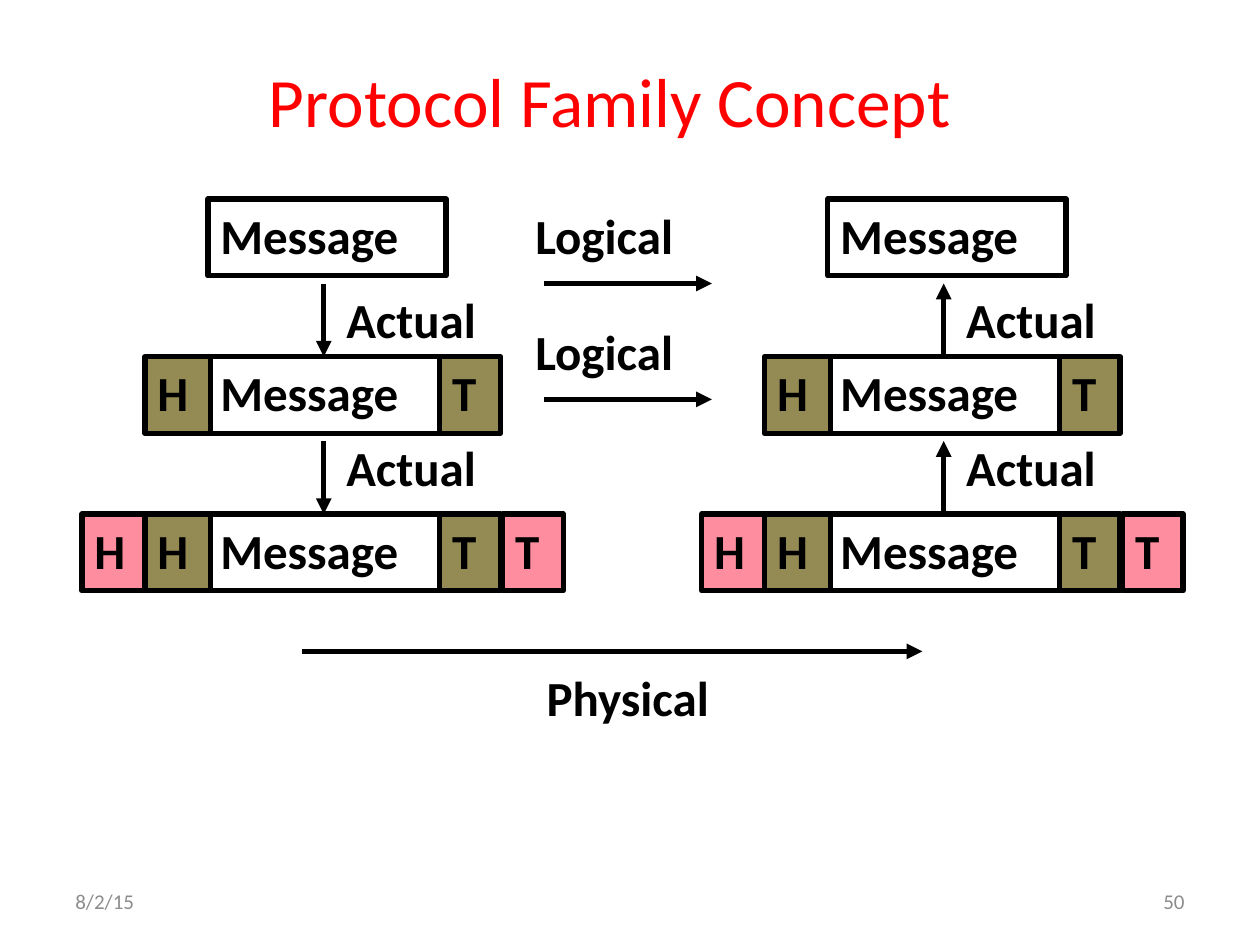
from typing import NamedTuple

from lxml import etree
from pptx import Presentation
from pptx.dml.color import RGBColor
from pptx.enum.shapes import MSO_CONNECTOR, MSO_SHAPE
from pptx.enum.text import MSO_ANCHOR, MSO_AUTO_SIZE, PP_ALIGN
from pptx.oxml.ns import qn
from pptx.util import Emu, Pt

RECTANGLE = MSO_SHAPE.RECTANGLE
STRAIGHT = MSO_CONNECTOR.STRAIGHT
TOP, MIDDLE = MSO_ANCHOR.TOP, MSO_ANCHOR.MIDDLE
LEFT, CENTER, RIGHT = PP_ALIGN.LEFT, PP_ALIGN.CENTER, PP_ALIGN.RIGHT
NO_AUTOSIZE = MSO_AUTO_SIZE.NONE

BLACK = RGBColor(0x00, 0x00, 0x00)
RED = RGBColor(0xFF, 0x00, 0x00)
PINK = RGBColor(0xFF, 0x8D, 0xA0)
OLIVE = RGBColor(0x94, 0x8A, 0x54)
GREY = RGBColor(0x8C, 0x8C, 0x8C)

FONT = "Calibri"
EMU_PER_PX = 9144  # 100 px to the inch
LINE_WIDTH = Pt(3)
CELL_HEIGHT = 61
LABEL_HEIGHT = 57
ROW_TOPS = (158, 283, 408)
SENDER_LEFT, RECEIVER_LEFT = 165, 657


class Cell(NamedTuple):
    """One field of a packet, placed relative to its message field."""
    text: str
    offset: int
    width: int
    fill: RGBColor | None


class Label(NamedTuple):
    text: str
    left: int
    top: int
    width: int


class Arrow(NamedTuple):
    start_x: int
    start_y: int
    end_x: int
    end_y: int


MESSAGE = (Cell("Message", 0, 189, None),)
INNER = (Cell("T", 184, 48, OLIVE), Cell("H", -50, 52, OLIVE))
OUTER = (Cell("T", 234, 48, PINK), Cell("H", -100, 52, PINK))
PACKETS = (MESSAGE, MESSAGE + INNER, OUTER + MESSAGE + INNER)


def px(value: int) -> Emu:
    return Emu(value * EMU_PER_PX)


def write(box, text: str, size: float, color: RGBColor, bold: bool = False,
          align=LEFT, anchor=TOP) -> None:
    frame = box.text_frame
    frame.word_wrap = True
    frame.auto_size = NO_AUTOSIZE
    frame.vertical_anchor = anchor
    para = frame.paragraphs[0]
    para.alignment = align
    span = para.add_run()
    span.text = text
    span.font.name = FONT
    span.font.size = Pt(size)
    span.font.bold = bold
    span.font.color.rgb = color


def draw_cell(page, cell: Cell, message_left: int, top: int) -> None:
    box = page.shapes.add_shape(RECTANGLE, px(message_left + cell.offset), px(top),
                                px(cell.width), px(CELL_HEIGHT))
    box.shadow.inherit = False
    if cell.fill is None:
        box.fill.background()
    else:
        box.fill.solid()
        box.fill.fore_color.rgb = cell.fill
    box.line.color.rgb = BLACK
    box.line.width = LINE_WIDTH
    write(box, cell.text, 28, BLACK, bold=True)


def draw_label(page, label: Label) -> None:
    box = page.shapes.add_textbox(px(label.left), px(label.top),
                                  px(label.width), px(LABEL_HEIGHT))
    write(box, label.text, 28, BLACK, bold=True)


def draw_arrow(page, arrow: Arrow) -> None:
    connector = page.shapes.add_connector(STRAIGHT, *(px(value) for value in arrow))
    connector.line.color.rgb = BLACK
    connector.line.width = LINE_WIDTH
    outline = connector.line._get_or_add_ln()
    etree.SubElement(outline, qn("a:tailEnd"), type="triangle")
    etree.SubElement(connector._element.spPr, qn("a:effectLst"))


def draw_footer(page, text: str, left: int, align) -> None:
    box = page.shapes.add_textbox(px(left), px(695), px(233), px(40))
    write(box, text, 12, GREY, align=align, anchor=MIDDLE)


def main() -> None:
    deck = Presentation()
    deck.slide_width, deck.slide_height = px(1000), px(750)
    page = deck.slides.add_slide(deck.slide_layouts[5])

    # Title
    title = page.shapes.title
    title.left, title.top, title.width, title.height = px(83), px(53), px(802), px(52)
    write(title, "Protocol Family Concept", 39.6, RED, align=CENTER, anchor=MIDDLE)

    # Packets of the sender and the receiver, growing layer by layer
    for message_left in (SENDER_LEFT, RECEIVER_LEFT):
        for top, packet in zip(ROW_TOPS, PACKETS):
            for cell in packet:
                draw_cell(page, cell, message_left, top)

    # Actual path: down through the sender, up through the receiver
    for upper_top, lower_top, label_top in zip(ROW_TOPS, ROW_TOPS[1:], (225, 342)):
        gap_top = upper_top + 67
        sender_x, receiver_x = SENDER_LEFT + 92, RECEIVER_LEFT + 92
        draw_arrow(page, Arrow(sender_x, gap_top, sender_x, lower_top))
        draw_arrow(page, Arrow(receiver_x, lower_top, receiver_x, gap_top))
        for message_left in (SENDER_LEFT, RECEIVER_LEFT):
            draw_label(page, Label("Actual", message_left + 100, label_top, 139))

    # Logical links between peers
    for label_top, arrow_y in ((158, 225), (250, 317)):
        draw_label(page, Label("Logical", 415, label_top, 156))
        draw_arrow(page, Arrow(432, arrow_y, 565, arrow_y))

    # Physical link
    draw_arrow(page, Arrow(240, 517, 732, 517))
    draw_label(page, Label("Physical", 424, 525, 178))

    # Date and page number
    draw_footer(page, "8/2/15", 50, LEFT)
    draw_footer(page, "50", 717, RIGHT)

    deck.save("out.pptx")


if __name__ == "__main__":
    main()
